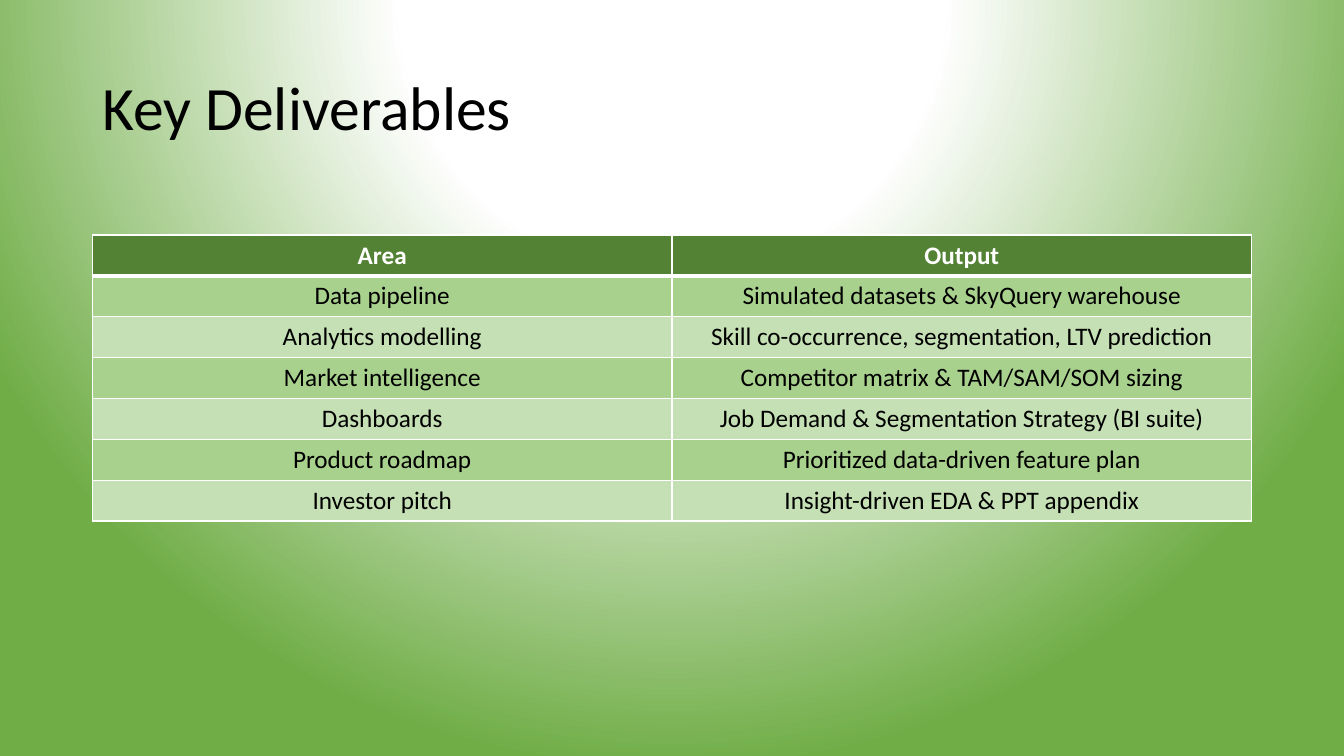
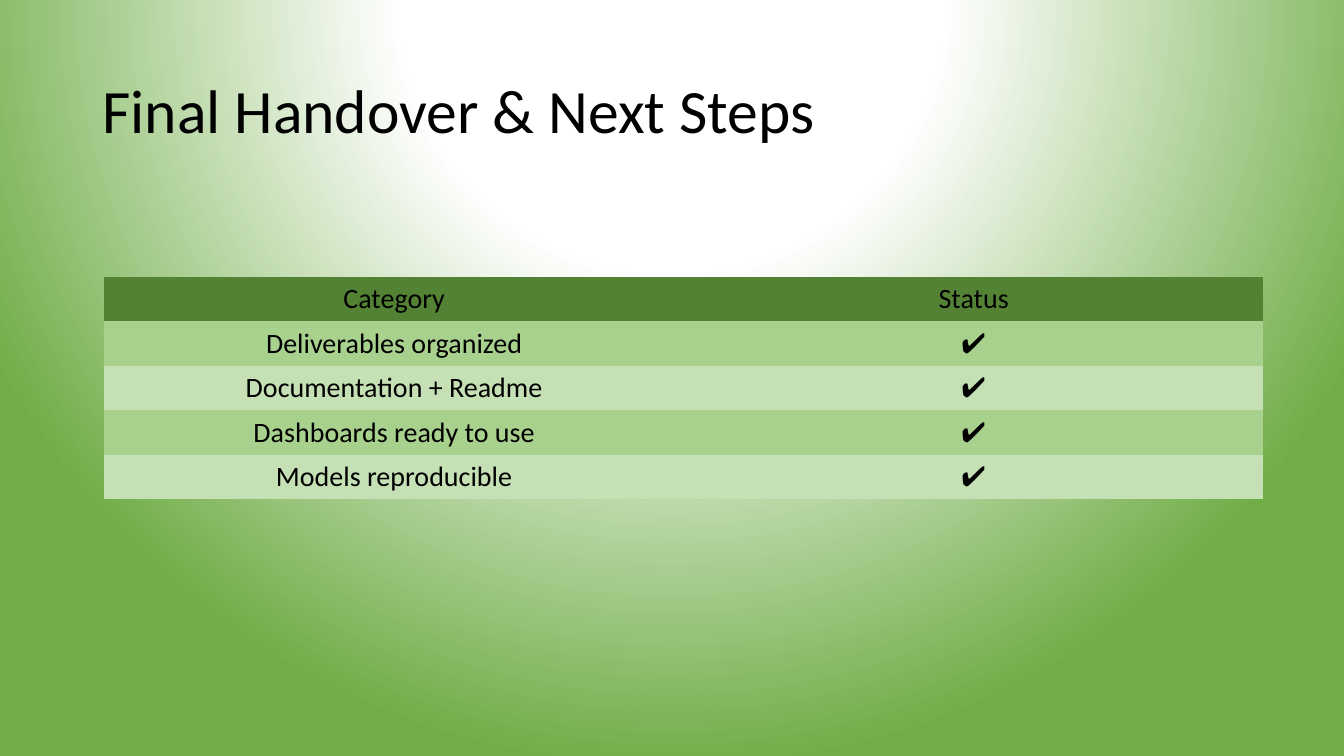
from pptx import Presentation
from pptx.dml.color import RGBColor
from pptx.enum import text as t
from pptx.oxml import parse_xml
from pptx.oxml.ns import nsdecls, qn
from pptx.util import Cm, Pt

WHITE = RGBColor(0xFF, 0xFF, 0xFF)
BLACK = RGBColor(0, 0, 0)
GREEN = RGBColor(0x70, 0xAD, 0x47)
HEADER_GREEN = RGBColor(0x54, 0x82, 0x35)
BANDS = (RGBColor(0xA9, 0xD1, 0x8E), RGBColor(0xC5, 0xE0, 0xB4))
FONT = "Calibri"
LEFT, WIDTH, TITLE_HEIGHT = Cm(2.33), Cm(29.21), Cm(3.68)
PLAIN_TABLE = "{2D5ABB26-0587-4C30-8999-92F81FD0307C}"

DELIVERABLES = [
    ("Area", "Output"),
    ("Data pipeline", "Simulated datasets & SkyQuery warehouse"),
    ("Analytics modelling", "Skill co-occurrence, segmentation, LTV prediction"),
    ("Market intelligence", "Competitor matrix & TAM/SAM/SOM sizing"),
    ("Dashboards", "Job Demand & Segmentation Strategy (BI suite)"),
    ("Product roadmap", "Prioritized data-driven feature plan"),
    ("Investor pitch", "Insight-driven EDA & PPT appendix"),
]
HANDOVER = [("Category", "Status")] + [
    (category, "✔")
    for category in (
        "Deliverables organized",
        "Documentation + Readme",
        "Dashboards ready to use",
        "Models reproducible",
    )
]


def write(frame, words, size, color=BLACK, bold=False,
          align=t.PP_ALIGN.CENTER, spacing=None):
    """Put one formatted paragraph into a text frame."""
    paragraph = frame.paragraphs[0]
    paragraph.alignment = align
    paragraph.line_spacing = spacing
    run = paragraph.add_run()
    run.text = words
    run.font.name = FONT
    run.font.size = Pt(size)
    run.font.bold = bold
    run.font.color.rgb = color


def set_background(master):
    """Give every slide the white-to-green radial glow."""
    master.background.fill.solid()
    fill = next(master.element.iter(qn("p:bgPr"))).find(qn("a:solidFill"))
    stops = "".join(
        f'<a:gs pos="{position * 1000}"><a:srgbClr val="{color}"/></a:gs>'
        for position, color in ((0, WHITE), (35, WHITE), (100, GREEN))
    )
    glow = parse_xml(
        f'<a:gradFill {nsdecls("a")} rotWithShape="1"><a:gsLst>{stops}</a:gsLst>'
        '<a:path path="circle"><a:fillToRect l="50000" t="-80000" r="50000" '
        'b="180000"/></a:path></a:gradFill>'
    )
    fill.getparent().replace(fill, glow)


def add_title(slide, words, top, anchor):
    """Place and format the slide title."""
    title = slide.shapes.title
    title.left, title.top, title.width, title.height = LEFT, top, WIDTH, TITLE_HEIGHT
    frame = title.text_frame
    frame.auto_size = t.MSO_AUTO_SIZE.NONE
    frame.word_wrap = True
    frame.vertical_anchor = anchor
    write(frame, words, 44, align=t.PP_ALIGN.LEFT, spacing=0.9)


def add_borders(properties, row):
    """Draw white cell borders, heavier below the header row."""
    widths = {"L": 1, "R": 1, "T": 3 if row == 1 else 1, "B": 3 if row == 0 else 1}
    for index, (side, width) in enumerate(widths.items()):
        properties.insert(index, parse_xml(
            f'<a:ln{side} {nsdecls("a")} w="{Pt(width)}"><a:solidFill>'
            f'<a:srgbClr val="{WHITE}"/></a:solidFill></a:ln{side}>'
        ))


def add_banded_table(slide, rows, left, top, row_height, size,
                     header_color=BLACK, header_bold=False, bordered=False):
    """Add a table with a dark header and alternating green rows."""
    columns = len(rows[0])
    holder = slide.shapes.add_table(
        len(rows), columns, left, top, WIDTH, row_height * len(rows))
    next(holder.element.iter(qn("a:tableStyleId"))).text = PLAIN_TABLE
    table = holder.table
    for r, row in enumerate(rows):
        table.rows[r].height = row_height
        header = r == 0
        for c, words in enumerate(row):
            cell = table.cell(r, c)
            cell.vertical_anchor = t.MSO_ANCHOR.MIDDLE
            cell.fill.solid()
            cell.fill.fore_color.rgb = HEADER_GREEN if header else BANDS[(r - 1) % 2]
            write(cell.text_frame, words, size,
                  color=header_color if header else BLACK,
                  bold=header and header_bold)
    if bordered:
        for index, properties in enumerate(holder.element.iter(qn("a:tcPr"))):
            add_borders(properties, index // columns)


def build_deliverables(slide):
    """Build the slide of deliverables by area."""
    add_title(slide, "Key Deliverables", Cm(1.83), t.MSO_ANCHOR.TOP)
    add_banded_table(slide, DELIVERABLES, LEFT, Cm(5.92), Cm(1.03), 18,
                     header_color=WHITE, header_bold=True, bordered=True)


def build_handover(slide):
    """Build the slide of handover status."""
    add_title(slide, "Final Handover & Next Steps", Cm(1.02), t.MSO_ANCHOR.MIDDLE)
    add_banded_table(slide, HANDOVER, Cm(2.63), Cm(6.98), Cm(1.12), 20)


def main():
    """Build and save the presentation."""
    deck = Presentation()
    deck.slide_width, deck.slide_height = Cm(33.87), Cm(19.05)
    set_background(deck.slide_master)
    for build in (build_deliverables, build_handover):
        build(deck.slides.add_slide(deck.slide_layouts[5]))
    deck.save("out.pptx")


if __name__ == "__main__":
    main()
